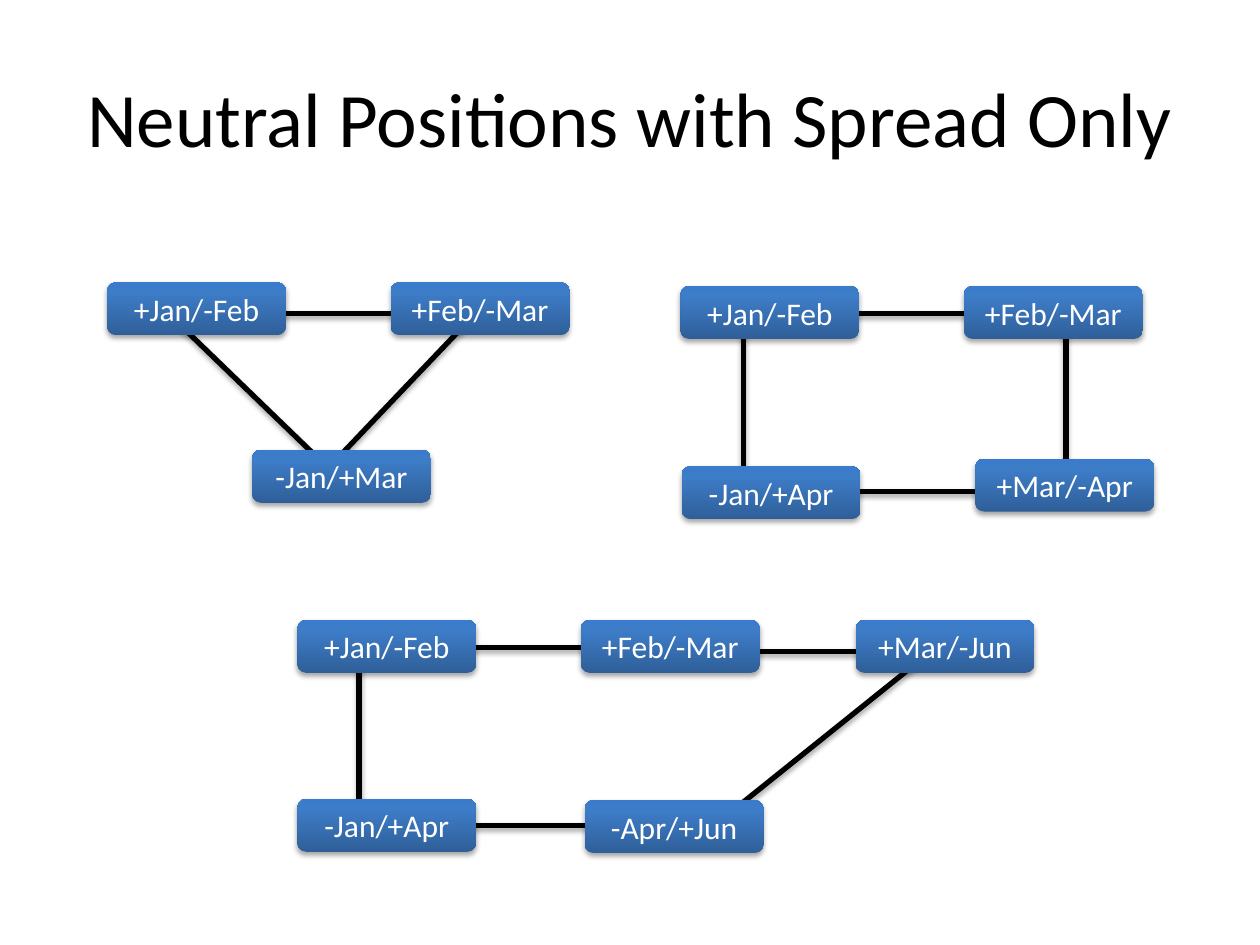
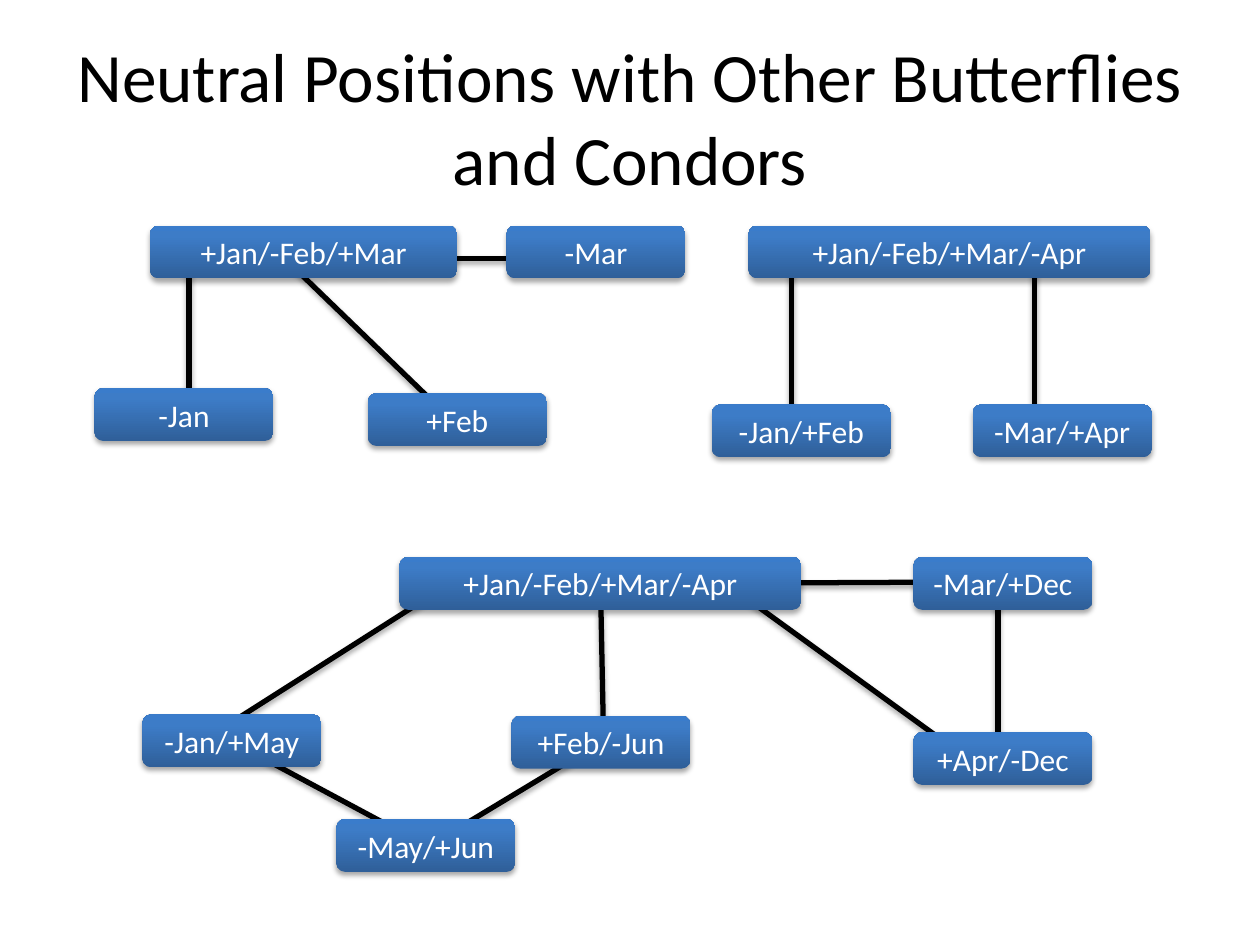
"""Build two slides of neutral spread positions drawn as linked boxes."""
from pptx import Presentation
from pptx.dml.color import RGBColor
from pptx.enum.shapes import MSO_CONNECTOR, MSO_SHAPE
from pptx.enum.text import MSO_ANCHOR, MSO_AUTO_SIZE, PP_ALIGN
from pptx.oxml import parse_xml
from pptx.oxml.ns import nsdecls
from pptx.util import Inches, Pt

FONT = "Calibri"
BLACK, WHITE = "000000", "FFFFFF"
STOPS = [(0, "2F5F99"), (80, "3D7CC7"), (100, "3A7CCB")]
WIDE, LONG, SHORT, HIGH = 3.19, 2.44, 1.42, 0.42

NS = nsdecls("a")
GRADE = f'<a:gradFill {NS} rotWithShape="1"><a:gsLst>' + "".join(
    f'<a:gs pos="{pos * 1000}"><a:srgbClr val="{tone}"/></a:gs>' for pos, tone in STOPS
) + '</a:gsLst><a:lin ang="16200000" scaled="0"/></a:gradFill>'
SHADE = (
    f'<a:effectLst {NS}><a:outerShdw blurRad="{Pt(3.1)}" dist="{Pt(1.8)}" dir="5400000" '
    f'rotWithShape="0"><a:srgbClr val="{BLACK}"><a:alpha val="35000"/></a:srgbClr>'
    '</a:outerShdw></a:effectLst>'
)

SLIDES = [
    {
        "title": "Neutral Positions with Spread Only",
        "size": 44,
        "lines": [
            (1.4, 2.55, 2.61, 3.72), (3.81, 2.45, 2.61, 3.71), (1.57, 2.49, 3.42, 2.49),
            (6.48, 2.49, 8.33, 2.49), (6.32, 3.9, 8.17, 3.9),
            (5.9, 3.9, 5.9, 2.48), (8.46, 3.86, 8.46, 2.43),
            (3.43, 5.14, 5.29, 5.14), (7.25, 5.17, 5.42, 5.17), (7.39, 5.17, 5.67, 6.55),
            (3.28, 6.55, 5.13, 6.55), (2.85, 6.55, 2.85, 5.13),
        ],
        "boxes": [
            ("+Jan/-Feb", 0.85, 2.24, SHORT), ("+Feb/-Mar", 3.1, 2.24, SHORT),
            ("-Jan/+Mar", 2, 3.57, SHORT),
            ("+Jan/-Feb", 5.4, 2.27, SHORT), ("+Feb/-Mar", 7.65, 2.27, SHORT),
            ("-Jan/+Apr", 5.41, 3.7, SHORT), ("+Mar/-Apr", 7.74, 3.64, SHORT),
            ("+Jan/-Feb", 2.36, 4.92, SHORT), ("+Feb/-Mar", 4.61, 4.92, SHORT),
            ("+Mar/-Jun", 6.79, 4.92, SHORT),
            ("-Jan/+Apr", 2.36, 6.34, SHORT), ("-Apr/+Jun", 4.64, 6.35, SHORT),
        ],
    },
    {
        "title": "Neutral Positions with Other Butterflies and Condors",
        "size": 39.6,
        "lines": [
            (1.5, 2, 1.5, 3.27), (2.32, 2.11, 3.52, 3.27), (2.48, 2.05, 4.34, 2.05),
            (6.28, 3.46, 6.28, 2.04), (8.21, 3.42, 8.21, 2),
            (1.67, 5.84, 3.51, 4.67), (4.79, 5.84, 4.77, 4.84), (5.83, 4.68, 7.72, 6.05),
            (7.54, 4.62, 5.44, 4.63), (7.92, 4.65, 7.92, 6.02),
            (1.83, 5.88, 3.38, 6.71), (4.77, 5.89, 3.41, 6.71),
        ],
        "boxes": [
            ("+Jan/-Feb/+Mar", 1.19, 1.79, LONG), ("-Mar", 4.02, 1.79, SHORT),
            ("-Jan", 0.75, 3.08, SHORT), ("+Feb", 2.92, 3.12, SHORT),
            ("+Jan/-Feb/+Mar/-Apr", 5.94, 1.79, WIDE),
            ("-Jan/+Feb", 5.65, 3.21, SHORT), ("-Mar/+Apr", 7.72, 3.21, SHORT),
            ("+Jan/-Feb/+Mar/-Apr", 3.17, 4.42, WIDE), ("-Mar/+Dec", 7.25, 4.42, SHORT),
            ("-Jan/+May", 1.13, 5.67, SHORT), ("+Feb/-Jun", 4.06, 5.68, SHORT),
            ("+Apr/-Dec", 7.25, 5.81, SHORT), ("-May/+Jun", 2.67, 6.5, SHORT),
        ],
    },
]


def paint(tone):
    return RGBColor.from_string(tone)


def write(shape, text, size=18, tone=WHITE):
    frame = shape.text_frame
    frame.word_wrap = True
    frame.auto_size = MSO_AUTO_SIZE.NONE
    frame.vertical_anchor = MSO_ANCHOR.MIDDLE
    para = frame.paragraphs[0]
    para.alignment = PP_ALIGN.CENTER
    run = para.add_run()
    run.text = text
    run.font.name = FONT
    run.font.size = Pt(size)
    run.font.color.rgb = paint(tone)


deck = Presentation()
deck.slide_width, deck.slide_height = Inches(10), Inches(7.5)

for page in SLIDES:
    slide = deck.slides.add_slide(deck.slide_layouts[5])
    slide.background.fill.solid()
    slide.background.fill.fore_color.rgb = paint(WHITE)
    title = slide.shapes.title
    title.left, title.top = Inches(0.5), Inches(0.3)
    title.width, title.height = Inches(9), Inches(1.25)
    write(title, page["title"], size=page["size"], tone=BLACK)

    for ends in page["lines"]:
        link = slide.shapes.add_connector(MSO_CONNECTOR.STRAIGHT, *map(Inches, ends))
        link.line.color.rgb = paint(BLACK)
        link.line.width = Pt(3)
        link._element.spPr.append(parse_xml(SHADE))

    for text, left, top, width in page["boxes"]:
        area = map(Inches, (left, top, width, HIGH))
        box = slide.shapes.add_shape(MSO_SHAPE.ROUNDED_RECTANGLE, *area)
        box.line.fill.background()
        box._element.spPr.insert(2, parse_xml(GRADE))
        box._element.spPr.append(parse_xml(SHADE))
        write(box, text)

deck.save("out.pptx")
